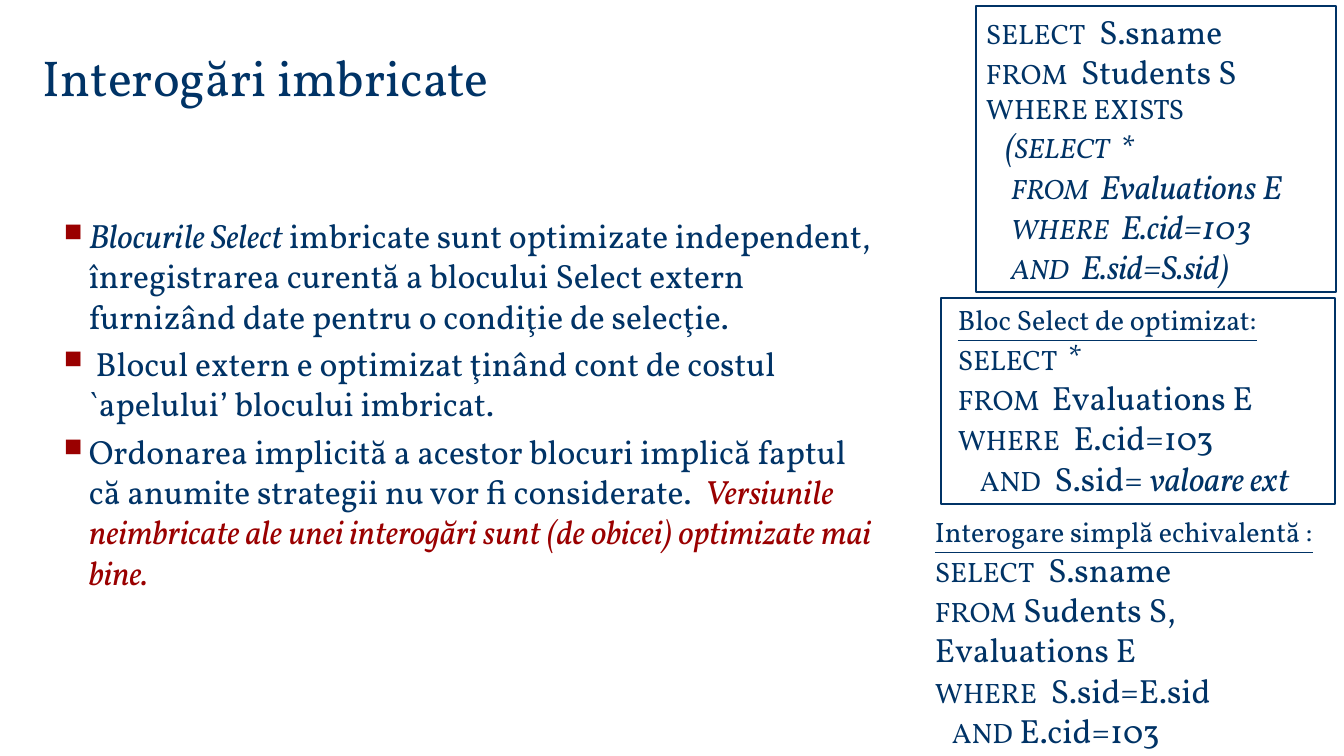
from lxml.etree import SubElement
from pptx import Presentation
from pptx.dml.color import RGBColor
from pptx.enum.shapes import MSO_SHAPE as Shape
from pptx.enum.text import MSO_ANCHOR as Anchor, PP_ALIGN as Align
from pptx.oxml.ns import qn
from pptx.util import Pt

PX = 914400 / 100.8
NAVY = RGBColor(0x00, 0x33, 0x66)
RED = RGBColor(0x9A, 0x00, 0x00)
WHITE = RGBColor(0xFF, 0xFF, 0xFF)

FORMATS = {
    "title": {"size": Pt(36)},
    "keyword": {"size": Pt(20)},
    "keyword italic": {"size": Pt(20), "italic": True},
    "heading": {"size": Pt(20), "underline": True},
    "text": {"size": Pt(24)},
    "italic": {"size": Pt(24), "italic": True},
    "warning": {"size": Pt(24), "italic": True},
}

# A paragraph is (indent in px, [(text, format), ...]).
TITLE = [(0, [("Interogări imbricate", "title")])]
BULLET_INDENT = 25
BULLETS = [
    (BULLET_INDENT, [
        ("Blocurile Select", "italic"),
        (" imbricate sunt optimizate independent, înregistrarea curentă a blocului "
         "Select extern furnizând date pentru o condiţie de selecţie.", "text")]),
    (BULLET_INDENT, [
        (" Blocul extern e optimizat ţinând cont de costul `apelului’ blocului imbricat.",
         "text")]),
    (BULLET_INDENT, [
        ("Ordonarea implicită a acestor blocuri implică faptul că anumite strategii "
         "nu vor fi considerate.  ", "text"),
        ("Versiunile neimbricate ale unei interogări sunt (de obicei) optimizate mai bine.",
         "warning")]),
]
NESTED_QUERY = [
    (0, [("SELECT", "keyword"), ("  S.sname", "text")]),
    (0, [("FROM", "keyword"), ("  Students S", "text")]),
    (0, [("WHERE EXISTS", "keyword")]),
    (19, [("(", "italic"), ("SELECT  ", "keyword italic"), ("*", "italic")]),
    (25, [("FROM ", "keyword italic"), (" Evaluations E", "italic")]),
    (25, [("WHERE", "keyword italic"), ("  E.cid=103", "italic")]),
    (25, [("AND", "keyword italic"), ("  E.sid=S.sid)", "italic")]),
]
INNER_BLOCK = [
    (7, [("Bloc Select de optimizat:", "heading")]),
    (7, [("SELECT  ", "keyword"), ("*", "text")]),
    (7, [("FROM ", "keyword"), (" Evaluations E", "text")]),
    (7, [("WHERE", "keyword"), ("  E.cid=103", "text")]),
    (29, [("AND", "keyword"), ("  S.sid= ", "text"), ("valoare ext", "italic")]),
]
FLAT_QUERY = [
    (0, [("Interogare simplă echivalentă :", "heading")]),
    (0, [("SELECT", "keyword"), ("  S.sname", "text")]),
    (0, [("FROM", "keyword"), (" Sudents S,", "text")]),
    (0, [("Evaluations E", "text")]),
    (0, [("WHERE", "keyword"), ("  S.sid=E.sid", "text")]),
    (17, [("AND", "keyword"), (" E.cid=103", "text")]),
]
# (left, top, width, height) in px, paragraphs, outlined
QUERY_BOXES = [
    ((976, 6, 360, 286), NESTED_QUERY, True),
    ((941, 298, 394, 206), INNER_BLOCK, True),
    ((925, 510, 405, 246), FLAT_QUERY, False),
]


def emu(px):
    return round(px * PX)


def write(frame, paragraphs, anchor=Anchor.TOP):
    frame.word_wrap = True
    frame.vertical_anchor = anchor
    for index, (indent, runs) in enumerate(paragraphs):
        paragraph = frame.add_paragraph() if index else frame.paragraphs[0]
        paragraph.alignment = Align.LEFT
        paragraph._p.get_or_add_pPr().set("marL", str(emu(indent)))
        for text, style in runs:
            run = paragraph.add_run()
            run.text = text
            run.font.name = "Vollkorn"
            run.font.color.rgb = RED if style == "warning" else NAVY
            for attribute, value in FORMATS[style].items():
                setattr(run.font, attribute, value)


def add_square_bullet(paragraph):
    paragraph.space_before = Pt(5)
    properties = paragraph._p.get_or_add_pPr()
    properties.set("indent", str(-emu(BULLET_INDENT)))
    color = SubElement(properties, qn("a:buClr"))
    SubElement(color, qn("a:srgbClr"), val=str(RED))
    SubElement(properties, qn("a:buSzPct"), val="75000")
    SubElement(properties, qn("a:buChar"), char="■")


def add_query_box(slide, place, paragraphs, outlined):
    box = slide.shapes.add_shape(Shape.RECTANGLE, *map(emu, place))
    box.shadow.inherit = False
    box.fill.solid()
    box.fill.fore_color.rgb = WHITE
    fill_color = box.fill._xPr.find(qn("a:solidFill"))[0]
    SubElement(fill_color, qn("a:alpha"), val="50000")
    if outlined:
        box.line.color.rgb = NAVY
        box.line.width = Pt(1)
    else:
        box.line.fill.background()
    write(box.text_frame, paragraphs)


def main():
    deck = Presentation()
    deck.slide_width, deck.slide_height = emu(1344), emu(756)
    slide = deck.slides.add_slide(deck.slide_layouts[6])

    title = slide.shapes.add_textbox(*map(emu, (33, 40, 1095, 72)))
    write(title.text_frame, TITLE, Anchor.BOTTOM)

    body = slide.shapes.add_textbox(*map(emu, (54, 210, 833, 546)))
    write(body.text_frame, BULLETS)
    for paragraph in body.text_frame.paragraphs:
        add_square_bullet(paragraph)

    for place, paragraphs, outlined in QUERY_BOXES:
        add_query_box(slide, place, paragraphs, outlined)
    deck.save("out.pptx")


if __name__ == "__main__":
    main()
